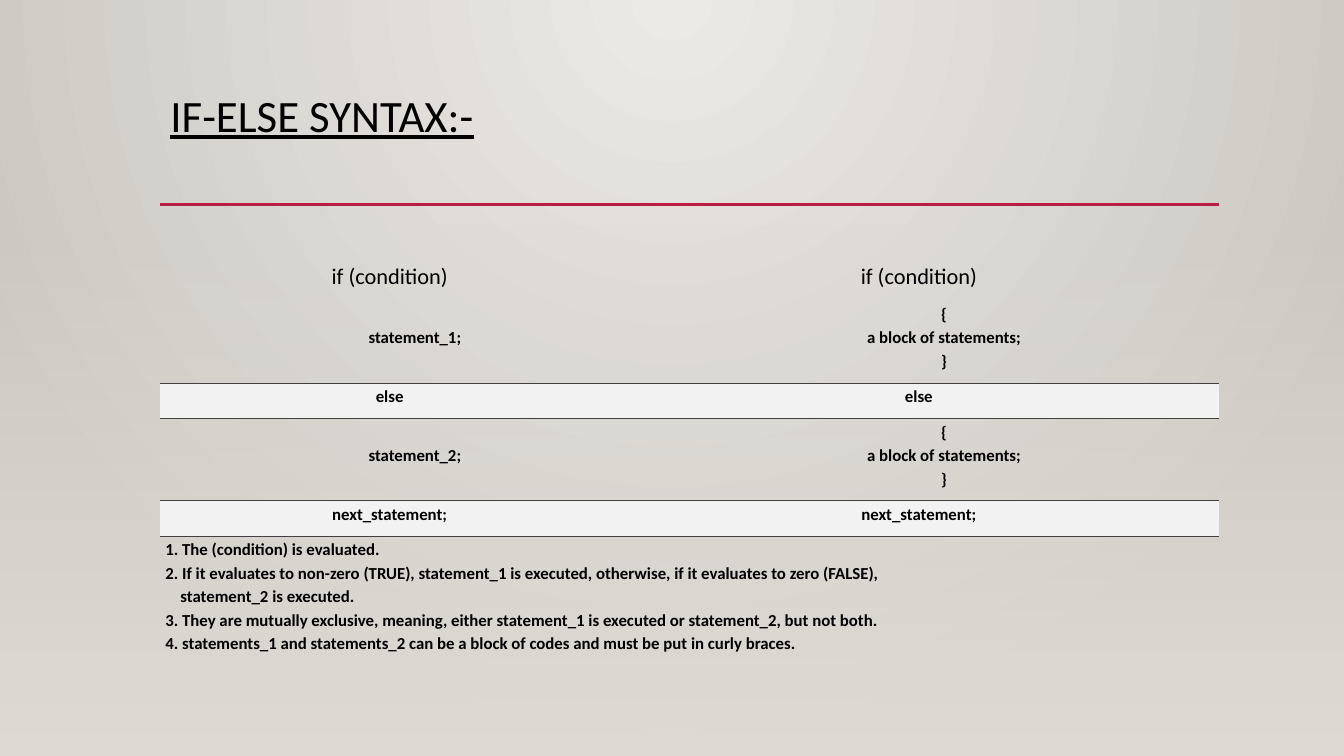
from lxml import etree
from pptx import Presentation, util as u
from pptx.dml.color import RGBColor
from pptx.enum import shapes, text
from pptx.oxml import ns, parse_xml

COLS = [34.13, 44.62]
ROWS = [5.6, 10.93, 4.67, 10.93, 4.67, 17.07]
LEFT, WIDE = 11.93, sum(COLS)
BLOCK = ["{", "a block of statements;", "}"]
BODY = [
    (["if (condition)"], ["if (condition)"]),
    (["statement_1;"], BLOCK),
    (["else"], ["else"]),
    (["statement_2;"], BLOCK),
    (["next_statement;"], ["next_statement;"]),
]
# Each note: text, left margin and first-line indent in inches
NOTES = [
    ("1. The (condition) is evaluated.", 0, 0),
    ("2. If it evaluates to non-zero (TRUE), statement_1 is executed, "
     "otherwise, if it evaluates to zero (FALSE),", 0.38, -0.38),
    ("statement_2 is executed.", 0.15, 0),
    ("3. They are mutually exclusive, meaning, either statement_1 is executed "
     "or statement_2, but not both.", 0.38, -0.38),
    ("4. statements_1 and statements_2 can be a block of codes and must be "
     "put in curly braces.", 0.38, -0.38),
]
GLOW = ('<a:path {} path="circle">'
        '<a:fillToRect l="43000" t="0" r="43000" b="100000"/></a:path>')
DOWN = '<a:lin {} ang="5400000" scaled="0"/>'
NO_GRID = "{2D5ABB26-0587-4C30-8999-92F81FD0307C}"


def tint(code):
    return RGBColor.from_string(code)


def node(xml):
    return parse_xml(xml.format(ns.nsdecls("a")))


class Board:
    """Draws on one slide; lengths are hundredths of its width and height."""
    font, ink, rose, band, edge = "Calibri", "000000", "B71E42", "F2F2F2", "404040"

    def __init__(self, deck):
        self.deck = deck
        self.slide = deck.slides.add_slide(deck.slide_layouts[5])

    def x(self, cols):
        return round(self.deck.slide_width * cols / 100)

    def y(self, rows):
        return round(self.deck.slide_height * rows / 100)

    def box(self, left, top, wide, high):
        return self.x(left), self.y(top), self.x(wide), self.y(high)

    def blend(self, fill, owner, stops, shade):
        """Fill with a gradient; stops are (percent, colour, opacity percent)."""
        fill.gradient()
        grad = next(owner.iter(ns.qn("a:gradFill")))
        for part in list(grad):
            grad.remove(part)
        marks = "".join(
            f'<a:gs pos="{pos * 1000}"><a:srgbClr val="{code}">'
            f'<a:alpha val="{alpha * 1000}"/></a:srgbClr></a:gs>'
            for pos, code, alpha in stops)
        grad.append(node("<a:gsLst {}>" + marks + "</a:gsLst>"))
        grad.append(node(shade))

    def back(self, stops):
        self.blend(self.slide.background.fill, self.slide.element, stops, GLOW)

    def veil(self, place, stops):
        rect = self.slide.shapes.add_shape(
            shapes.MSO_SHAPE.RECTANGLE, *self.box(*place))
        rect.shadow.inherit = False
        rect.line.fill.background()
        self.blend(rect.fill, rect.element, stops, DOWN)

    def rule(self, left, top, wide):
        line = self.slide.shapes.add_connector(
            shapes.MSO_CONNECTOR.STRAIGHT, self.x(left), self.y(top),
            self.x(left + wide), self.y(top))
        line.line.color.rgb = tint(self.rose)
        line.line.width = u.Pt(2.5)
        etree.SubElement(line.element.spPr, ns.qn("a:effectLst"))

    def say(self, para, words, size, bold=False, under=False):
        run = para.add_run()
        run.text = words
        face = run.font
        face.name, face.size, face.bold = self.font, u.Pt(size), bold
        face.underline = under
        face.color.rgb = tint(self.ink)

    def title(self, place, words):
        head = self.slide.shapes.title
        head.left, head.top, head.width, head.height = self.box(*place)
        frame = head.text_frame
        frame.word_wrap = True
        frame.vertical_anchor = text.MSO_ANCHOR.TOP
        para = frame.paragraphs[0]
        para.alignment = text.PP_ALIGN.LEFT
        para.line_spacing = 0.9
        self.say(para, words, 32, under=True)

    def table(self, left, top):
        grid = self.slide.shapes.add_table(
            len(ROWS), len(COLS),
            *self.box(left, top, WIDE, sum(ROWS))).table
        grid.first_row = grid.horz_banding = False
        next(grid._tbl.iter(ns.qn("a:tableStyleId"))).text = NO_GRID
        for col, wide in zip(grid.columns, COLS):
            col.width = self.x(wide)
        for row, high in zip(grid.rows, ROWS):
            row.height = self.y(high)
        return grid

    def cell(self, cell, lines, size=12, bold=True, band=False,
             align=text.PP_ALIGN.CENTER, anchor=text.MSO_ANCHOR.MIDDLE):
        """Fill a cell; lines are (text, left margin, first-line indent)."""
        cell.margin_left = cell.margin_right = u.Inches(0.05)
        cell.margin_top, cell.margin_bottom = 0, u.Inches(0.1)
        cell.vertical_anchor = anchor
        if band:
            cell.fill.solid()
            cell.fill.fore_color.rgb = tint(self.band)
            cell._tc.get_or_add_tcPr().insert(0, node(
                '<a:lnT {} w="9525"><a:solidFill><a:srgbClr val="'
                + self.edge + '"/></a:solidFill></a:lnT>'))
        else:
            cell.fill.background()
        frame = cell.text_frame
        for at, (words, left, first) in enumerate(lines):
            para = frame.add_paragraph() if at else frame.paragraphs[0]
            para.alignment, para.line_spacing = align, 1.15
            props = para._p.get_or_add_pPr()
            props.set("marL", str(u.Inches(left)))
            props.set("indent", str(u.Inches(first)))
            self.say(para, words, size, bold)


def main():
    deck = Presentation()
    deck.slide_width, deck.slide_height = u.Inches(13.33), u.Inches(7.5)
    board = Board(deck)
    board.back([(0, "ECEAE7", 100), (100, "CAC7C1", 100)])
    board.veil((0, 29.47, 100, 70.53),
               [(0, "DFDBD5", 0), (100, "DFDBD5", 100)])
    board.title((LEFT, 11.73, WIDE, 15.33), "IF-ELSE SYNTAX:-")
    board.rule(LEFT, 27.07, WIDE)

    grid = board.table(LEFT, 34.13)
    for row, pair in enumerate(BODY):
        inset = 0.5 if row % 2 else 0
        look = {"band": row in (2, 4)}
        if row == 0:
            look.update(size=16, bold=False, anchor=text.MSO_ANCHOR.BOTTOM)
        for col, lines in enumerate(pair):
            board.cell(grid.cell(row, col),
                       [(words, inset, 0) for words in lines], **look)
    last = len(BODY)
    grid.cell(last, 0).merge(grid.cell(last, 1))
    board.cell(grid.cell(last, 0), NOTES, align=text.PP_ALIGN.LEFT)
    deck.save("out.pptx")


if __name__ == "__main__":
    main()
